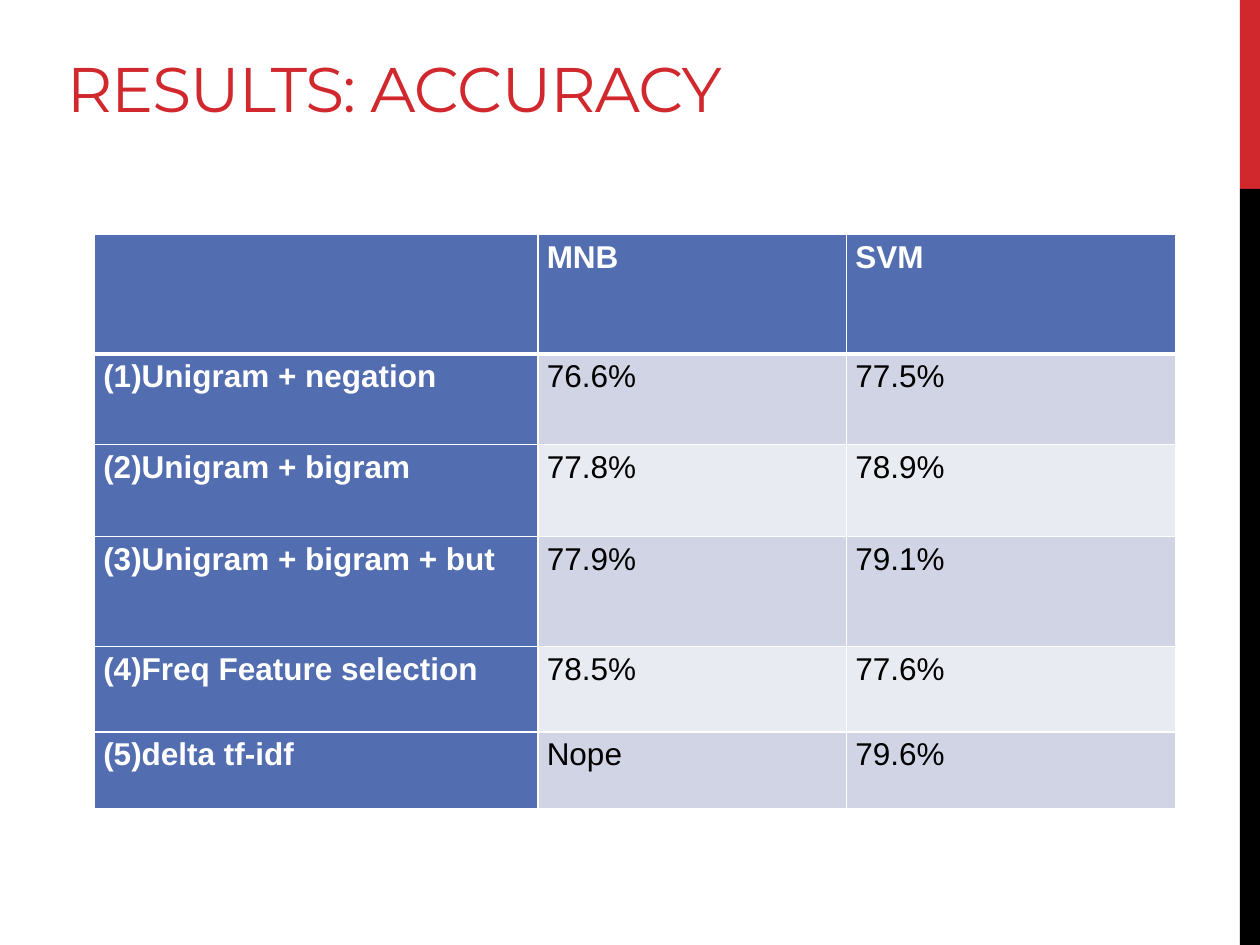
from lxml.etree import SubElement
from pptx import Presentation
from pptx.dml.color import RGBColor as Rgb
from pptx.enum.shapes import MSO_SHAPE as Shape
from pptx.enum.text import MSO_ANCHOR as Anchor, MSO_AUTO_SIZE as AutoSize, PP_ALIGN as Align
from pptx.oxml.ns import qn
from pptx.util import Inches, Pt

WIDTH, HEIGHT = 10, 7.5
COLORS = {
    "accent": "D1282E", "black": "000000", "white": "FFFFFF",
    "header": "526DB0", "odd": "D1D4E4", "even": "E9EBF2",
}
COLUMN_WIDTHS = [3.52, 2.45, 2.61]
ROW_HEIGHTS = [0.95, 0.72, 0.73, 0.87, 0.68, 0.61]
ACCURACY = [
    ["", "MNB", "SVM"],
    ["(1)Unigram + negation", "76.6%", "77.5%"],
    ["(2)Unigram + bigram", "77.8%", "78.9%"],
    ["(3)Unigram + bigram + but", "77.9%", "79.1%"],
    ["(4)Freq Feature selection", "78.5%", "77.6%"],
    ["(5)delta tf-idf", "Nope", "79.6%"],
]


def color(key):
    """Return the named colour."""
    return Rgb.from_string(COLORS[key])


def add_run(paragraph, text, font, size, color_key, bold=False):
    """Append one formatted run."""
    run = paragraph.add_run()
    run.text = text
    run.font.name, run.font.size, run.font.bold = font, Pt(size), bold
    run.font.color.rgb = color(color_key)
    return run


def add_band(slide, top, height, color_key):
    """Draw a part of the right-hand side bar; top and height are slide shares."""
    bar_width = 0.016 * WIDTH
    band = slide.shapes.add_shape(
        Shape.RECTANGLE, Inches(WIDTH - bar_width), Inches(top * HEIGHT),
        Inches(bar_width), Inches(height * HEIGHT))
    band.shadow.inherit = False
    band.fill.solid()
    band.fill.fore_color.rgb = color(color_key)
    band.line.fill.background()


def set_title(slide, text):
    """Place and format the title placeholder."""
    title = slide.shapes.title
    title.left, title.top = Inches(0.43), Inches(0.21)
    title.width, title.height = Inches(6.33), Inches(0.83)
    frame = title.text_frame
    frame.auto_size = AutoSize.NONE
    frame.word_wrap = True
    frame.vertical_anchor = Anchor.BOTTOM
    paragraph = frame.paragraphs[0]
    paragraph.alignment = Align.LEFT
    run = add_run(paragraph, text, "Montserrat", 36, "accent")
    run.font._element.set("spc", "-60")


def set_borders(cell, top, bottom):
    """Give a cell white borders; top and bottom widths are in points."""
    properties = cell._tc.get_or_add_tcPr()
    for side, width in {"L": 1, "R": 1, "T": top, "B": bottom}.items():
        line = SubElement(properties, qn(f"a:ln{side}"), w=str(Pt(width)))
        fill = SubElement(line, qn("a:solidFill"))
        SubElement(fill, qn("a:srgbClr"), val=COLORS["white"])


def format_cell(cell, text, row, column):
    """Fill in one cell, styled by its place in the table."""
    heading = row == 0 or column == 0
    set_borders(cell, top=3 if row == 1 else 1, bottom=3 if row == 0 else 1)
    cell.fill.solid()
    cell.fill.fore_color.rgb = color("header" if heading else "odd" if row % 2 else "even")
    cell.margin_left = cell.margin_right = Inches(0.07)
    cell.margin_top = cell.margin_bottom = 0
    if text:
        paragraph = cell.text_frame.paragraphs[0]
        paragraph.line_spacing = 1.15
        add_run(paragraph, text, "Arial", 18, "white" if heading else "black", heading)


def add_accuracy_table(slide):
    """Add the accuracy table."""
    table = slide.shapes.add_table(
        len(ROW_HEIGHTS), len(COLUMN_WIDTHS), Inches(0.75), Inches(1.86),
        Inches(sum(COLUMN_WIDTHS)), Inches(sum(ROW_HEIGHTS))).table
    for column, width in zip(table.columns, COLUMN_WIDTHS):
        column.width = Inches(width)
    for row, height in zip(table.rows, ROW_HEIGHTS):
        row.height = Inches(height)
    for row, texts in enumerate(ACCURACY):
        for column, text in enumerate(texts):
            format_cell(table.cell(row, column), text, row, column)


def main():
    """Build and save the slide."""
    deck = Presentation()
    deck.slide_width, deck.slide_height = Inches(WIDTH), Inches(HEIGHT)
    slide = deck.slides.add_slide(deck.slide_layouts[5])
    add_band(slide, 0, 0.2, "accent")
    add_band(slide, 0.2, 0.8, "black")
    set_title(slide, "RESULTS: ACCURACY")
    add_accuracy_table(slide)
    deck.save("out.pptx")


main()
